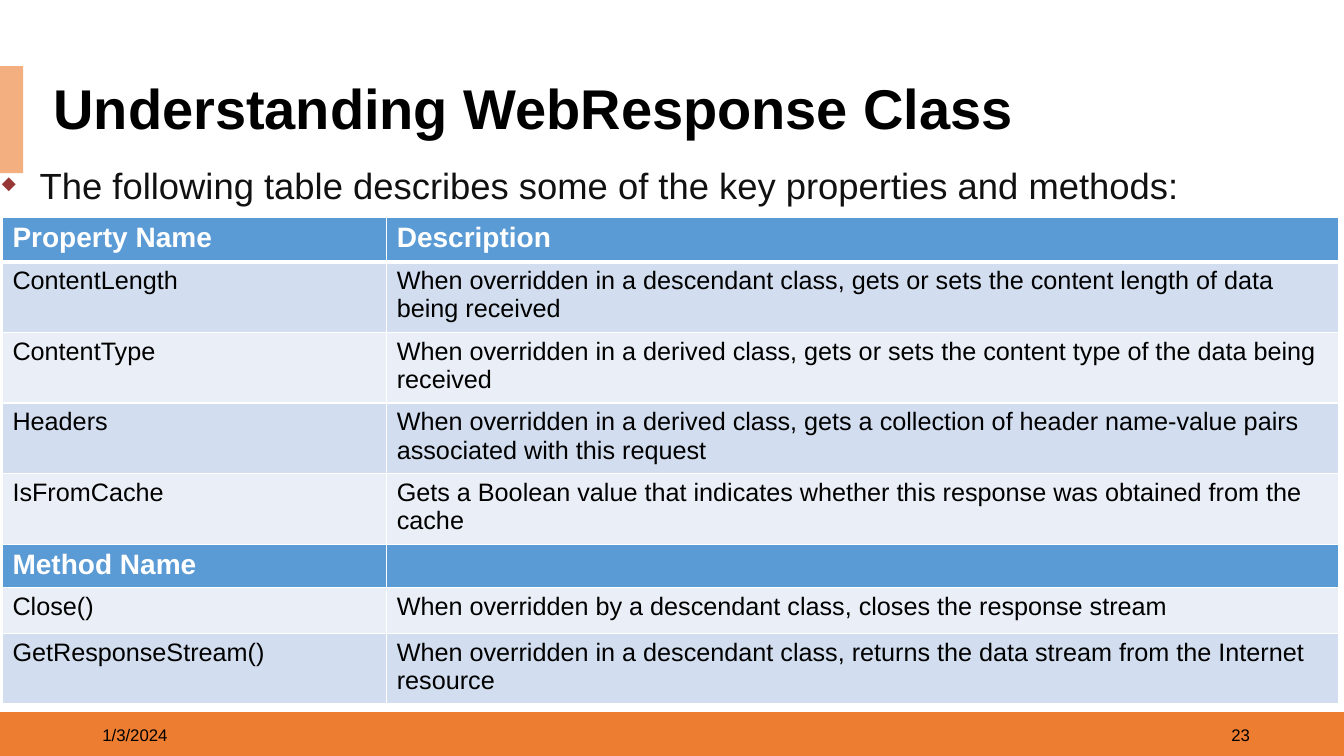
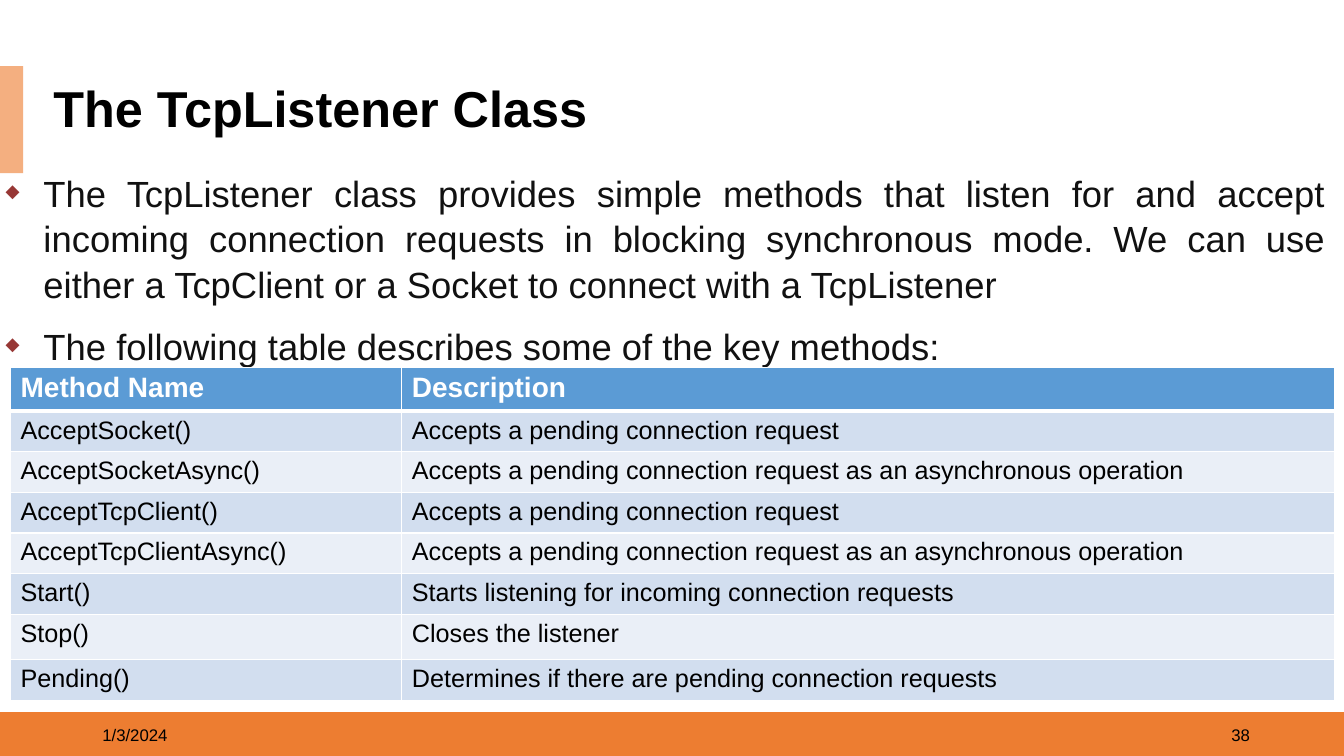
import dataclasses

import lxml.etree
import pptx
import pptx.dml.color
import pptx.enum.shapes
import pptx.enum.text
import pptx.oxml.ns
import pptx.util

Pt = pptx.util.Pt
ALIGN = pptx.enum.text.PP_ALIGN
ANCHOR = pptx.enum.text.MSO_ANCHOR


@dataclasses.dataclass(frozen=True)
class Theme:
    font: str = "Arial"
    black: str = "000000"
    white: str = "FFFFFF"
    body: str = "111111"
    bullet: str = "973735"
    footer_band: str = "ED7D31"
    title_accent: str = "F4AF80"
    table_header: str = "5B9BD5"
    table_bands: tuple = ("EAEFF7", "D2DEEF")
    body_size: int = 26
    header_size: int = 20
    cell_size: int = 18
    footer_size: int = 12


THEME = Theme()
SLIDE_WIDTH, SLIDE_HEIGHT = 960, 540
FOOTER_DATE = "1/3/2024"

# Content
RESPONSE_ROWS = [
    ("Property Name", "Description"),
    ("ContentLength", "When overridden in a descendant class, gets or sets the content length of data being received"),
    ("ContentType", "When overridden in a derived class, gets or sets the content type of the data being received"),
    ("Headers", "When overridden in a derived class, gets a collection of header name-value pairs associated with this request"),
    ("IsFromCache", "Gets a Boolean value that indicates whether this response was obtained from the cache"),
    ("Method Name", ""),
    ("Close()", "When overridden by a descendant class, closes the response stream"),
    ("GetResponseStream()", "When overridden in a descendant class, returns the data stream from the Internet resource"),
]
LISTENER_POINTS = [
    "The TcpListener class provides simple methods that listen for and accept incoming connection requests "
    "in blocking synchronous mode. We can use either a TcpClient or a Socket to connect with a TcpListener",
    "The following table describes some of the key methods:",
]
LISTENER_ROWS = [
    ("Method Name", "Description"),
    ("AcceptSocket()", "Accepts a pending connection request"),
    ("AcceptSocketAsync()", "Accepts a pending connection request as an asynchronous operation"),
    ("AcceptTcpClient()", "Accepts a pending connection request"),
    ("AcceptTcpClientAsync()", "Accepts a pending connection request as an asynchronous operation"),
    ("Start()", "Starts listening for incoming connection requests"),
    ("Stop()", "Closes the listener"),
    ("Pending()", "Determines if there are pending connection requests"),
]


def rgb(color):
    return pptx.dml.color.RGBColor.from_string(color)


def add_xml(parent, tag, **attributes):
    child = lxml.etree.SubElement(parent, pptx.oxml.ns.qn(tag))
    for key, value in attributes.items():
        child.set(key, str(value))
    return child


def style(paragraph, size, color, bold=False, align=ALIGN.LEFT):
    paragraph.alignment = align
    paragraph.font.name = THEME.font
    paragraph.font.size = Pt(size)
    paragraph.font.color.rgb = rgb(color)
    paragraph.font.bold = bold


# Shared slide parts
def add_band(slide, left, top, width, height, color):
    band = slide.shapes.add_shape(
        pptx.enum.shapes.MSO_SHAPE.RECTANGLE, Pt(left), Pt(top), Pt(width), Pt(height))
    band.shadow.inherit = False
    band.fill.solid()
    band.fill.fore_color.rgb = rgb(color)
    band.line.fill.background()


def add_footer_text(slide, left, text, align):
    frame = slide.shapes.add_textbox(Pt(left), Pt(510.5), Pt(216), Pt(28.75)).text_frame
    frame.word_wrap = True
    frame.vertical_anchor = ANCHOR.MIDDLE
    frame.text = text
    style(frame.paragraphs[0], THEME.footer_size, THEME.black, align=align)


def add_titled_slide(deck, title_text, title_size, number):
    slide = deck.slides.add_slide(deck.slide_layouts[5])
    add_band(slide, 0, 508.75, SLIDE_WIDTH, SLIDE_HEIGHT - 508.75, THEME.footer_band)
    add_band(slide, 0, 47.25, 16.5, 76.5, THEME.title_accent)
    add_footer_text(slide, 66, FOOTER_DATE, ALIGN.LEFT)
    add_footer_text(slide, 684, str(number), ALIGN.RIGHT)

    title = slide.shapes.title
    title.left, title.top, title.width, title.height = Pt(31), Pt(57), Pt(920), Pt(45)
    title.fill.solid()
    title.fill.fore_color.rgb = rgb(THEME.white)
    frame = title.text_frame
    frame.text = title_text
    frame.word_wrap = True
    frame.auto_size = pptx.enum.text.MSO_AUTO_SIZE.NONE
    frame.vertical_anchor = ANCHOR.MIDDLE
    frame.paragraphs[0].line_spacing = 0.9
    style(frame.paragraphs[0], title_size, THEME.black, bold=True)
    return slide


# Bulleted text
def add_bullets(slide, left, top, width, height, points):
    frame = slide.shapes.add_textbox(Pt(left), Pt(top), Pt(width), Pt(height)).text_frame
    frame.word_wrap = True
    for index, point in enumerate(points):
        paragraph = frame.add_paragraph() if index else frame.paragraphs[0]
        paragraph.text = point
        paragraph.line_spacing = 1.04
        paragraph.space_after = Pt(6)
        if index:
            paragraph.space_before = Pt(6)
        properties = paragraph._p.get_or_add_pPr()
        properties.set("marL", str(Pt(27)))
        properties.set("indent", str(Pt(-27)))
        add_xml(add_xml(properties, "a:buClr"), "a:srgbClr", val=THEME.bullet)
        add_xml(properties, "a:buSzPct", val=50000)
        add_xml(properties, "a:buChar", char="◆")
        add_xml(add_xml(properties, "a:tabLst"), "a:tab", pos=Pt(18.75), algn="l")
        style(paragraph, THEME.body_size, THEME.body, align=ALIGN.JUSTIFY)


# Tables
def set_borders(cell, bottom_width):
    properties = cell._tc.get_or_add_tcPr()
    widths = {"a:lnL": 1, "a:lnR": 1, "a:lnT": 1, "a:lnB": bottom_width}
    for position, (tag, width) in enumerate(widths.items()):
        border = lxml.etree.Element(pptx.oxml.ns.qn(tag), w=str(Pt(width)))
        add_xml(add_xml(border, "a:solidFill"), "a:srgbClr", val=THEME.white)
        properties.insert(position, border)


def add_member_table(slide, left, top, column_widths, row_heights, rows, header_rows=(0,)):
    table = slide.shapes.add_table(
        len(rows), len(column_widths), Pt(left), Pt(top),
        Pt(sum(column_widths)), Pt(sum(row_heights))).table
    for column, width in zip(table.columns, column_widths):
        column.width = Pt(width)
    for index, (texts, height) in enumerate(zip(rows, row_heights)):
        table.rows[index].height = Pt(height)
        is_header = index in header_rows
        fill = THEME.table_header if is_header else THEME.table_bands[index % 2]
        size = THEME.header_size if is_header else THEME.cell_size
        color = THEME.white if is_header else THEME.black
        for cell, text in zip(table.rows[index].cells, texts):
            cell.text = text
            cell.fill.solid()
            cell.fill.fore_color.rgb = rgb(fill)
            style(cell.text_frame.paragraphs[0], size, color, bold=is_header)
            set_borders(cell, bottom_width=1 if index else 3)


def main():
    deck = pptx.Presentation()
    deck.slide_width, deck.slide_height = Pt(SLIDE_WIDTH), Pt(SLIDE_HEIGHT)

    # WebResponse
    response = add_titled_slide(deck, "Understanding WebResponse Class", 40, 23)
    add_member_table(response, 1.75, 155, (274.5, 680), [32] + [47.5] * 4 + [29.5, 32.5, 47.5],
                     RESPONSE_ROWS, header_rows=(0, 5))
    add_bullets(response, -5.75, 112, 906, 39,
                ["The following table describes some of the key properties and methods:"])

    # TcpListener
    listener = add_titled_slide(deck, "The TcpListener Class", 36, 38)
    add_bullets(listener, -3, 117.5, 958, 145, LISTENER_POINTS)
    add_member_table(listener, 7.5, 262.5, (279.5, 666.5), [31] + [29] * 5 + [32.5, 29.5],
                     LISTENER_ROWS)

    deck.save("out.pptx")


if __name__ == "__main__":
    main()
